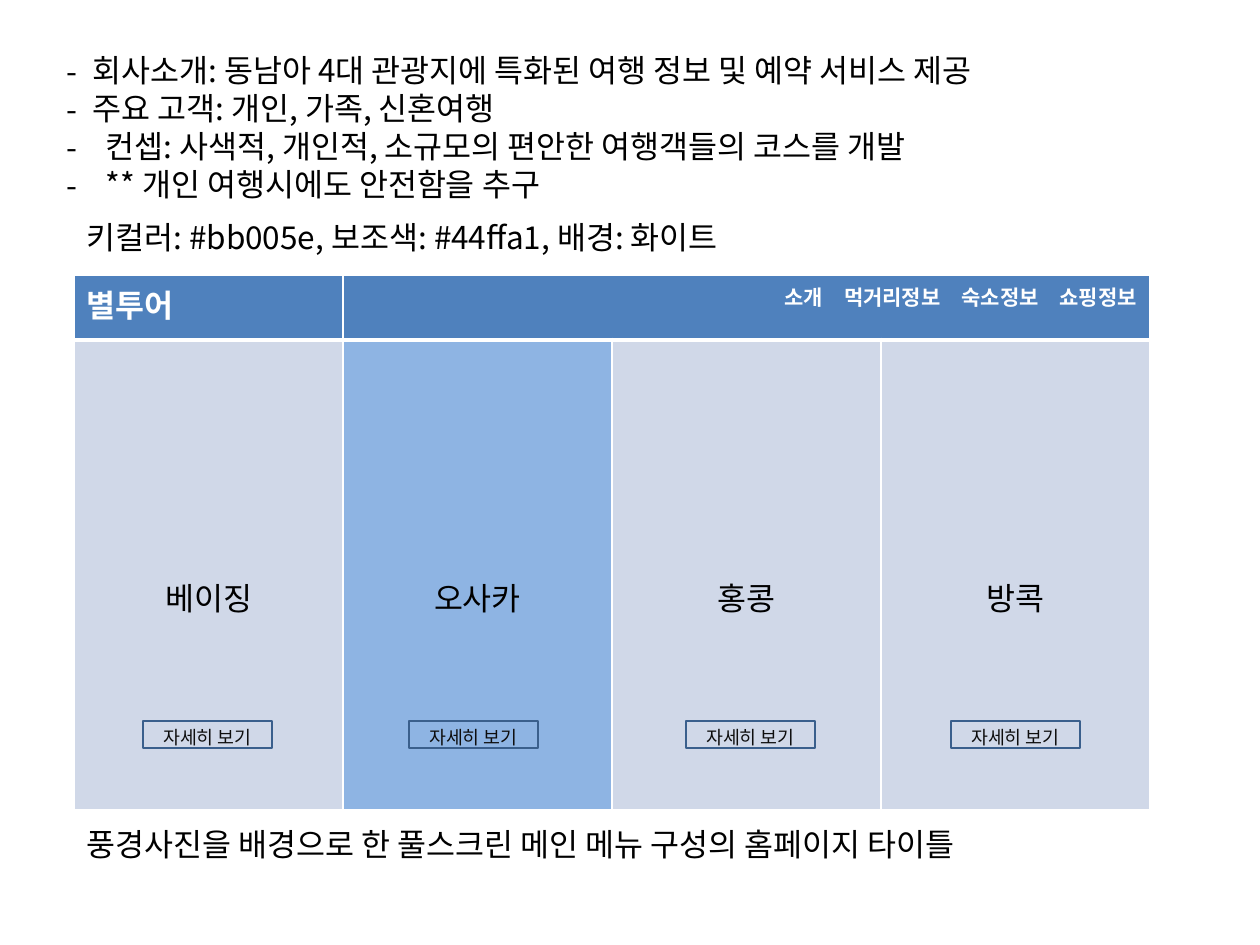
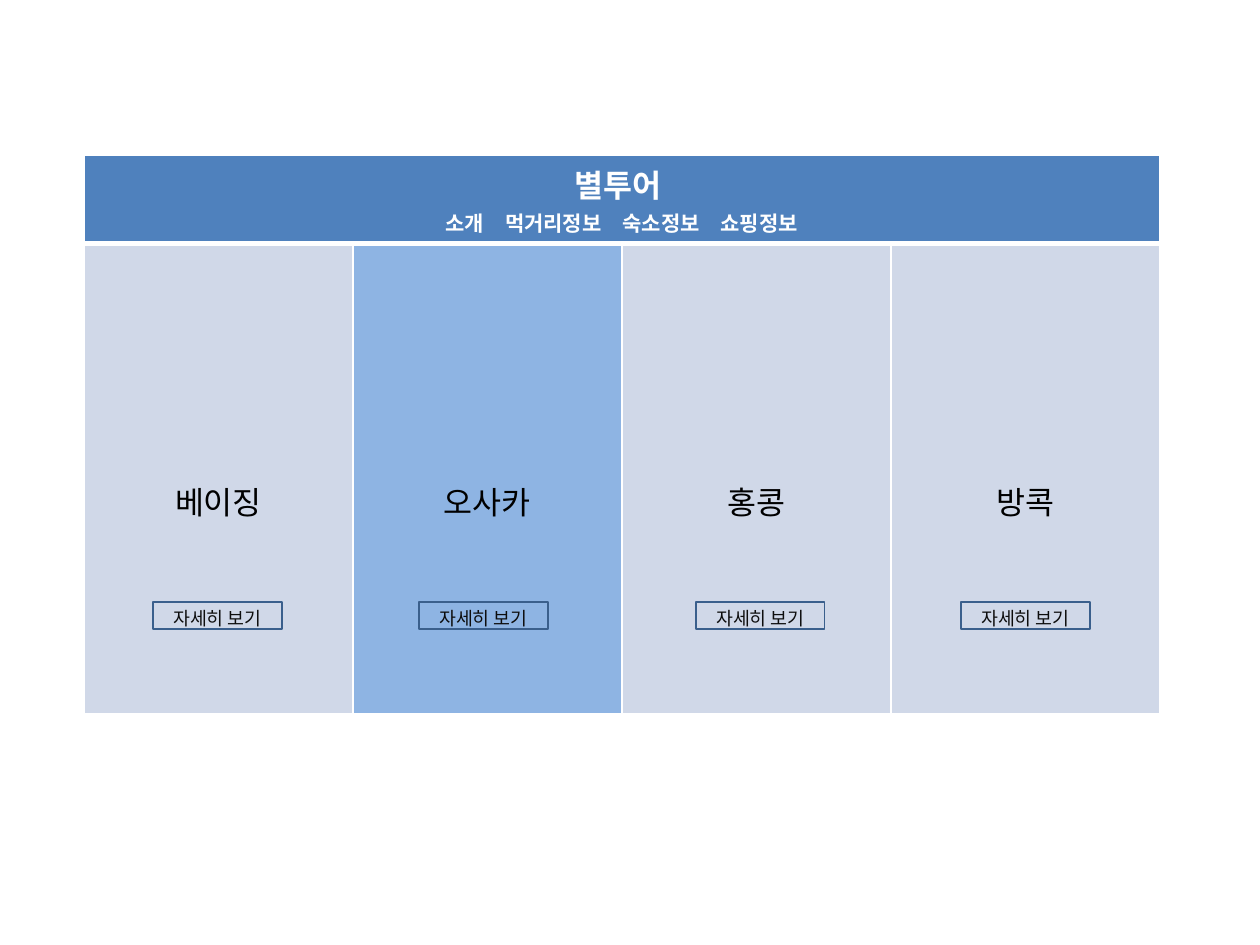
import pptx
import pptx.dml.color
import pptx.enum.shapes
import pptx.enum.text
import pptx.oxml.ns
import pptx.util
import lxml.etree

RGB = pptx.dml.color.RGBColor
WHITE = RGB(0xFF, 0xFF, 0xFF)
BLACK = RGB(0, 0, 0)
BLUE = RGB(0x4F, 0x81, 0xBD)
PALE = RGB(0xD0, 0xD8, 0xE8)
SKY = RGB(0x8E, 0xB4, 0xE3)
NAVY = RGB(0x3A, 0x5F, 0x8C)
INK = RGB(0x0D, 0x0D, 0x0D)

ALIGN = pptx.enum.text.PP_ALIGN
FONT = "Noto Sans CJK KR"
SCALE = 914400 / 126
COLUMN = 269
BODY = 470
INSET = 6

BRAND = "별투어 "
MENU = "\u2003".join(["소개", "먹거리정보", "숙소정보", "쇼핑정보"])
CITIES = [("베이징", PALE), ("오사카", SKY), ("홍콩", PALE), ("방콕", PALE)]
BUTTONS = [69, 335, 612, 877]  # left edges, from the table's left edge

# Formats: font values, alignment and exact line height in points
PLAIN = dict(size=18, bold=False, color=BLACK, align=ALIGN.LEFT, line=21.6)
CITY = dict(PLAIN, align=ALIGN.CENTER, line=26)
LOGO = dict(CITY, bold=True, color=WHITE, align=ALIGN.LEFT)
NAV = dict(LOGO, size=12, align=ALIGN.RIGHT, line=17.4)
LABEL = dict(CITY, size=10.5, color=INK, line=15.2)


def emu(pixels):
    """Turn pixels into EMU."""
    return pptx.util.Emu(round(pixels * SCALE))


def node(parent, tag, **values):
    """Append one XML element with its attributes."""
    child = lxml.etree.SubElement(parent, pptx.oxml.ns.qn(tag))
    for key, value in values.items():
        child.set(key, str(value))
    return child


class Deck:
    """Holds the style and the current slide."""

    def __init__(self):
        """Open an empty deck of 10 by 7.5 inches."""
        self.show = pptx.Presentation()
        self.show.slide_width = emu(1260)
        self.show.slide_height = emu(945)
        self.slide = None

    def add(self, layout):
        """Start a new slide."""
        self.slide = self.show.slides.add_slide(self.show.slide_layouts[layout])

    def put(self, para, text, style):
        """Fill one paragraph with formatted text."""
        para.alignment = style["align"]
        para.line_spacing = pptx.util.Pt(style["line"])
        para.space_before = pptx.util.Pt(0)
        run = para.add_run()
        run.text = text
        values = dict(name=FONT, size=pptx.util.Pt(style["size"]), bold=style["bold"])
        for key, value in values.items():
            setattr(run.font, key, value)
        run.font.color.rgb = style["color"]
        node(run.font._element, "a:ea", typeface=FONT)

    def lines(self, frame, rows):
        """Set (text, style) rows as paragraphs of a frame."""
        for index, (text, style) in enumerate(rows):
            para = frame.add_paragraph() if index else frame.paragraphs[0]
            self.put(para, text, style)

    def list(self, box, rows):
        """Put (text, indent) rows with dashes in the body placeholder."""
        title, body = self.slide.shapes.title, self.slide.placeholders[1]
        title._element.getparent().remove(title._element)
        body.left, body.top, body.width, body.height = map(emu, box)
        frame = body.text_frame
        frame.auto_size = pptx.enum.text.MSO_AUTO_SIZE.NONE
        self.lines(frame, [(text, PLAIN) for text, indent in rows])
        for para, (text, indent) in zip(frame.paragraphs, rows):
            props = para._p.get_or_add_pPr()
            props.set("marL", str(emu(indent)))
            props.set("indent", str(-emu(indent)))
            node(props, "a:buFont", typeface=FONT)
            node(props, "a:buChar", char="-")

    def text(self, box, text):
        """Add one line of plain text."""
        frame = self.slide.shapes.add_textbox(*map(emu, box)).text_frame
        frame.word_wrap = True
        self.lines(frame, [(text, PLAIN)])

    def button(self, left, top):
        """Add an outlined button."""
        shape = self.slide.shapes.add_shape(
            pptx.enum.shapes.MSO_SHAPE.RECTANGLE, *map(emu, (left, top, 129, 27)))
        shape.shadow.inherit = False
        shape.fill.background()
        shape.line.color.rgb = NAVY
        shape.line.width = pptx.util.Pt(0.75)
        frame = shape.text_frame
        values = dict(margin_top=0, margin_bottom=0, word_wrap=True,
                      vertical_anchor=pptx.enum.text.MSO_ANCHOR.MIDDLE)
        for key, value in values.items():
            setattr(frame, key, value)
        self.lines(frame, [("자세히 보기", LABEL)])

    def paint(self, cell, fill, top, base):
        """Fill a cell and rule its four sides in white."""
        cell.fill.solid()
        cell.fill.fore_color.rgb = fill
        props = cell._tc.get_or_add_tcPr()
        sides = [("a:lnL", 1), ("a:lnR", 1), ("a:lnT", top), ("a:lnB", base)]
        for index, (tag, width) in enumerate(sides):
            line = node(props, tag, w=pptx.util.Pt(width))
            node(node(line, "a:solidFill"), "a:srgbClr", val=WHITE)
            props.insert(index, line)

    def page(self, left, top, head, heads, button):
        """Draw the home page: heads maps a first column to (span, rows)."""
        count = len(CITIES)
        table = self.slide.shapes.add_table(
            2, count, *map(emu, (left, top, COLUMN * count, head + BODY))).table
        table.first_row = table.horz_banding = False
        table.rows[0].height, table.rows[1].height = emu(head), emu(BODY)
        for index, (city, fill) in enumerate(CITIES):
            table.columns[index].width = emu(COLUMN)
            self.paint(table.cell(0, index), BLUE, 1, 3)
            cell = table.cell(1, index)
            self.paint(cell, fill, 3, 1)
            cell.margin_top = emu(INSET + 228)
            self.lines(cell.text_frame, [(city, CITY)])
        for first, (span, rows) in heads.items():
            cell = table.cell(0, first)
            if span > 1:
                cell.merge(table.cell(0, first + span - 1))
            self.lines(cell.text_frame, rows)
        for shift in BUTTONS:
            self.button(left + shift, button)


deck = Deck()

deck.add(1)
deck.list((54, 45, 1171, 165), [
    ("회사소개: 동남아 4대 관광지에 특화된 여행 정보 및 예약 서비스 제공", 26),
    ("주요 고객: 개인, 가족, 신혼여행", 26),
    ("컨셉: 사색적, 개인적, 소규모의 편안한 여행객들의 코스를 개발", 39),
    ("** 개인 여행시에도 안전함을 추구", 39),
])
deck.page(74, 275, 65, {0: (1, [(BRAND, LOGO)]), 1: (3, [(MENU, NAV)])}, 721)
deck.text((74, 819, 1131, 50), "풍경사진을 배경으로 한 풀스크린 메인 메뉴 구성의 홈페이지 타이틀")
deck.text((74, 212, 814, 53), "키컬러: #bb005e, 보조색: #44ffa1, 배경: 화이트")

deck.add(6)
centre = dict(align=ALIGN.CENTER)
deck.page(84, 155, 88, {0: (4, [(BRAND, LOGO | centre), (MENU, NAV | centre)])}, 602)

deck.show.save("out.pptx")
